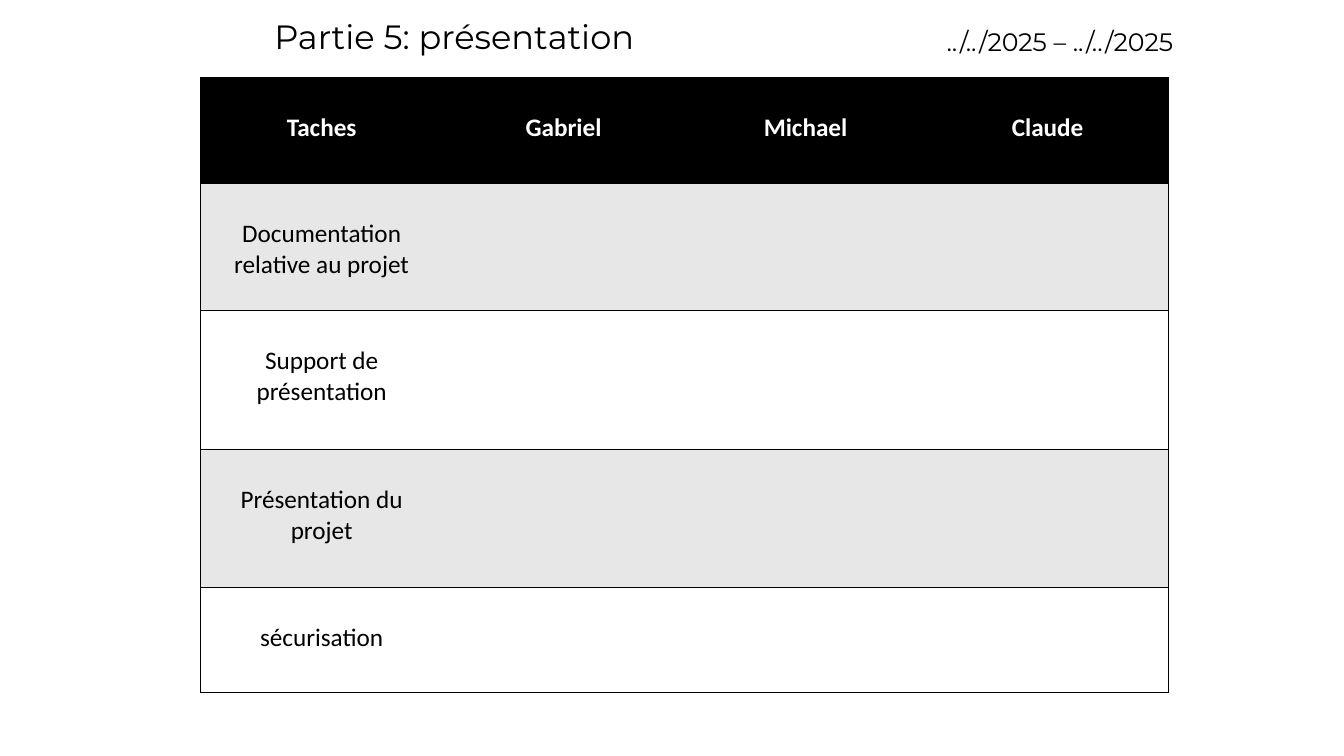
from lxml import etree
from pptx import Presentation
from pptx.dml.color import RGBColor
from pptx.enum.text import PP_ALIGN
from pptx.oxml.ns import qn
from pptx.util import Pt

PX = 9144  # EMU per px, 100 px to the inch
LEFT, MID = PP_ALIGN.LEFT, PP_ALIGN.CENTER
BLACK = RGBColor(0x00, 0x00, 0x00)
WHITE = RGBColor(0xFF, 0xFF, 0xFF)
GREY = RGBColor(0xE7, 0xE7, 0xE7)

HEADS = ["Taches", "Gabriel", "Michael", "Claude"]
TASKS = [
    "Documentation relative au projet",
    "Support de présentation",
    "Présentation du projet",
    "sécurisation",
]
ROWS = [105, 126, 138, 137, 104]
COL = 240
PAD = 35  # space above the text in a cell


def style(frame, font, size, color, align, bold=False):
    for para in frame.paragraphs:
        para.alignment = align
        for run in para.runs:
            run.font.name = font
            run.font.size = Pt(size)
            run.font.bold = bold
            run.font.color.rgb = color


def add_text(slide, text, box, size, align):
    frame = slide.shapes.add_textbox(*(v * PX for v in box)).text_frame
    frame.word_wrap = True
    frame.text = text
    style(frame, "Montserrat", size, BLACK, align)


def add_edge(cell, side, shown):
    line = etree.SubElement(cell._tc.get_or_add_tcPr(), qn("a:ln" + side))
    line.set("w", str(Pt(1)))
    if shown:
        fill = etree.SubElement(line, qn("a:solidFill"))
        etree.SubElement(fill, qn("a:srgbClr")).set("val", str(BLACK))
    else:
        etree.SubElement(line, qn("a:noFill"))


def fill_cell(cell, text, fill, color, bold):
    cell.fill.solid()
    cell.fill.fore_color.rgb = fill
    if text:
        cell.margin_top = PAD * PX
        cell.text_frame.text = text
        style(cell.text_frame, "Calibri", 18, color, MID, bold)


def add_grid(slide, left, top):
    data = [HEADS] + [[task, "", "", ""] for task in TASKS]
    last = len(HEADS) - 1
    table = slide.shapes.add_table(
        len(data), len(HEADS), left * PX, top * PX,
        COL * len(HEADS) * PX, sum(ROWS) * PX).table
    table.first_row = table.horz_banding = False
    for col in table.columns:
        col.width = COL * PX
    for r, texts in enumerate(data):
        table.rows[r].height = ROWS[r] * PX
        head = r == 0
        fill = BLACK if head else GREY if r % 2 else WHITE
        for c, text in enumerate(texts):
            cell = table.cell(r, c)
            # Edges: outer frame and row rules, none between columns
            edges = {"L": c == 0, "R": c == last, "T": True, "B": True}
            for side, shown in edges.items():
                add_edge(cell, side, shown)
            fill_cell(cell, text, fill, WHITE if head else BLACK, head)


def main():
    deck = Presentation()
    deck.slide_width, deck.slide_height = 1333 * PX, 750 * PX
    slide = deck.slides.add_slide(deck.slide_layouts[6])

    # Title and dates
    add_text(slide, "Partie 5: présentation", (48, 11, 805, 50), 24, MID)
    add_text(slide, "../../2025 – ../../2025", (929, 21, 379, 40), 18, LEFT)

    # Task table
    add_grid(slide, 199, 77)

    deck.save("out.pptx")


if __name__ == "__main__":
    main()
